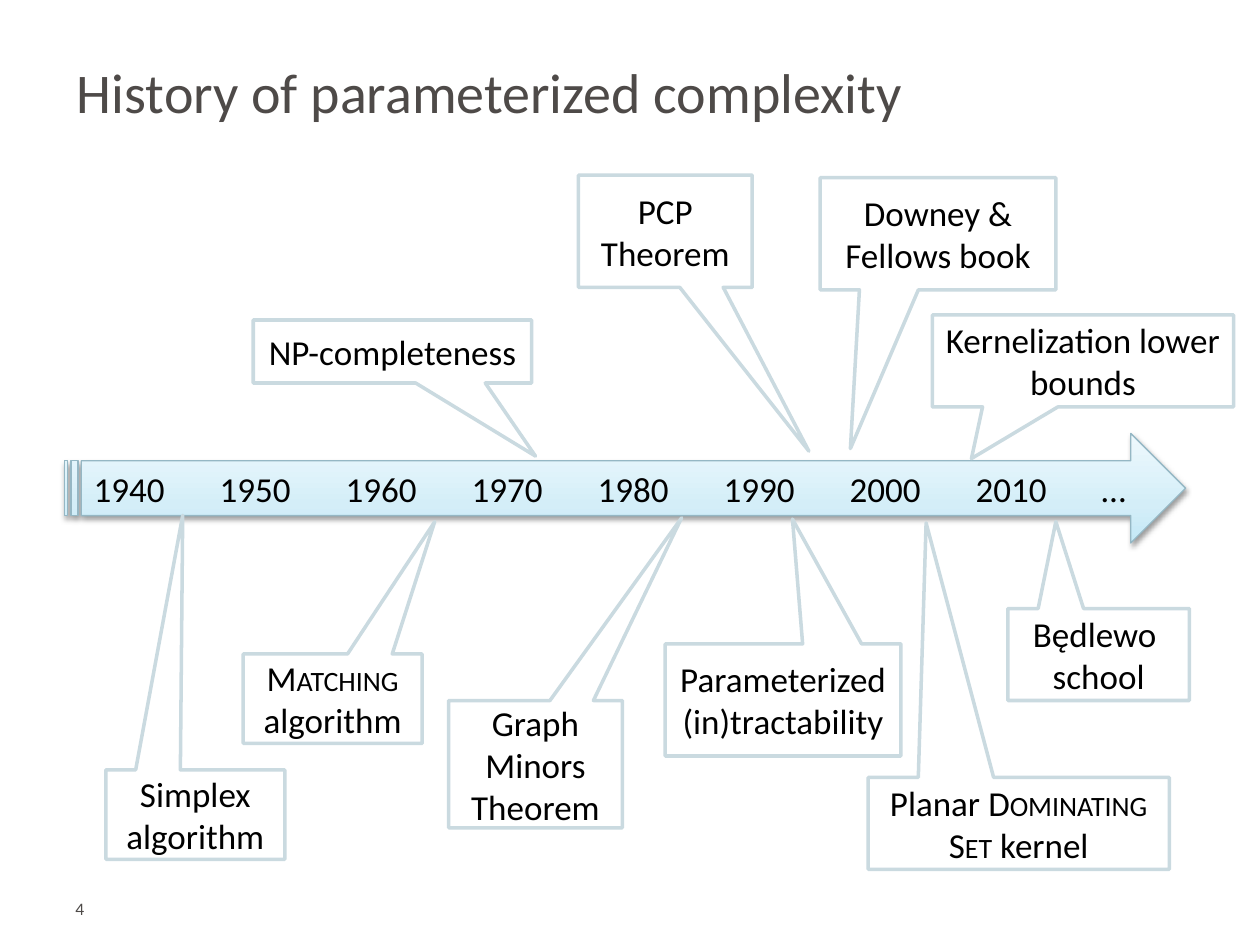
from copy import deepcopy

from lxml.etree import SubElement
from pptx import Presentation
from pptx.dml.color import RGBColor
from pptx.enum.shapes import MSO_SHAPE
from pptx.enum.text import MSO_ANCHOR, PP_ALIGN
from pptx.oxml.ns import qn
from pptx.util import Inches, Pt

FONT = "Calibri"
GREY, BLACK, WHITE = "4E4A48", "000000", "FFFFFF"
ARROW_EDGE, CALLOUT_EDGE = "95B7C4", "CADAE0"
ARROW_STOPS = [(0, "C3E8F6"), (0.35, "D4EEF8"), (1, "EEF9FD")]

COLUMNS, ROWS = 10, 7.5
DECADES = range(1940, 2020, 10)

# Box (left, top, width, height), tip of the pointer (x, y), and lines of
# (text, small caps) runs; all places are in grid columns and rows.
EVENTS = [
    ((0.84, 6.11, 1.42, 0.71), (1.45, 4.09), [[("Simplex algorithm", False)]]),
    ((1.93, 5.19, 1.42, 0.71), (3.45, 4.14),
     [[("Matching", True), (" algorithm", False)]]),
    ((2.01, 2.54, 2.21, 0.5), (4.25, 3.62), [[("NP-completeness", False)]]),
    ((3.56, 5.56, 1.38, 1.01), (5.41, 4.11), [[("Graph Minors Theorem", False)]]),
    ((4.59, 1.39, 1.38, 0.89), (6.42, 3.58), [[("PCP Theorem", False)]]),
    ((5.28, 5.11, 1.87, 0.89), (6.29, 4.12),
     [[("Parameterized", False)], [("(in)tractability", False)]]),
    ((6.51, 1.41, 1.87, 0.89), (6.75, 3.56), [[("Downey & Fellows book", False)]]),
    ((6.89, 6.17, 2.39, 0.73), (7.35, 4.15),
     [[("Planar ", False), ("Dominating Set", True), (" kernel", False)]]),
    ((7.4, 2.5, 2.39, 0.73), (7.71, 3.64), [[("Kernelization lower bounds", False)]]),
    ((8, 4.83, 1.44, 0.73), (8.38, 4.14),
     [[("Będlewo ", False)], [("school", False)]]),
]


def colour(hex_string):
    return RGBColor.from_string(hex_string)


def grid(box):
    return [Inches(length) for length in box]


def add_run(paragraph, text, size, hex_string, small_caps=False):
    run = paragraph.add_run()
    run.text = text
    run.font.name, run.font.size = FONT, Pt(size)
    run.font.color.rgb = colour(hex_string)
    if small_caps:
        run.font._element.set("cap", "small")


def outline(shape, hex_string, width):
    shape.line.color.rgb = colour(hex_string)
    shape.line.width = Pt(width)


def place_title(slide, box, text):
    title = slide.shapes.title
    title.left, title.top, title.width, title.height = grid(box)
    frame = title.text_frame
    frame.vertical_anchor = MSO_ANCHOR.MIDDLE
    frame.paragraphs[0].alignment = PP_ALIGN.LEFT
    add_run(frame.paragraphs[0], text, 32, GREY)


def fill_gradient(shape, stops, angle):
    shape.fill.gradient()
    shape.fill.gradient_angle = angle
    stop_list = shape._element.spPr.find(qn("a:gradFill")).find(qn("a:gsLst"))
    stop_list.append(deepcopy(stop_list[-1]))
    for stop, (position, hex_string) in zip(shape.fill.gradient_stops, stops):
        stop.position = position
        stop.color.rgb = colour(hex_string)


def drop_shadow(shape, blur, distance, opacity):
    """Cast a black shadow straight down."""
    shape.shadow.inherit = False
    effects = shape._element.spPr.find(qn("a:effectLst"))
    shadow = SubElement(effects, qn("a:outerShdw"), blurRad=str(Pt(blur)),
                        dist=str(Pt(distance)), dir="5400000", rotWithShape="0")
    black = SubElement(shadow, qn("a:srgbClr"), val=BLACK)
    SubElement(black, qn("a:alpha"), val=str(opacity * 1000))


def draw_timeline(slide, box):
    arrow = slide.shapes.add_shape(MSO_SHAPE.STRIPED_RIGHT_ARROW, *grid(box))
    fill_gradient(arrow, ARROW_STOPS, 90)
    outline(arrow, ARROW_EDGE, 0.75)
    drop_shadow(arrow, 3.1, 1.6, 38)
    arrow.text_frame.vertical_anchor = MSO_ANCHOR.MIDDLE
    years = arrow.text_frame.paragraphs[0]
    years.alignment = PP_ALIGN.LEFT
    add_run(years, "\t".join([*map(str, DECADES), "…"]), 20, BLACK)


def draw_event(slide, box, tip, lines):
    left, top, width, height = box
    callout = slide.shapes.add_shape(MSO_SHAPE.RECTANGULAR_CALLOUT, *grid(box))
    callout.adjustments[0] = (tip[0] - left) / width - 0.5
    callout.adjustments[1] = (tip[1] - top) / height - 0.5
    callout.shadow.inherit = False
    callout.fill.solid()
    callout.fill.fore_color.rgb = colour(WHITE)
    outline(callout, CALLOUT_EDGE, 2)
    frame = callout.text_frame
    frame.word_wrap = True
    frame.vertical_anchor = MSO_ANCHOR.MIDDLE
    for number, runs in enumerate(lines):
        paragraph = frame.add_paragraph() if number else frame.paragraphs[0]
        paragraph.alignment = PP_ALIGN.CENTER
        for text, small_caps in runs:
            add_run(paragraph, text, 20, BLACK, small_caps)


def place_page_number(slide, box, number):
    frame = slide.shapes.add_textbox(*grid(box)).text_frame
    frame.word_wrap = True
    frame.margin_top = 0
    add_run(frame.paragraphs[0], number, 10, GREY)


def main():
    deck = Presentation()
    deck.slide_width, deck.slide_height = grid((COLUMNS, ROWS))
    slide = deck.slides.add_slide(deck.slide_layouts[5])
    place_title(slide, (0.51, 0.38, 9, 0.69), "History of parameterized complexity")
    draw_timeline(slide, (0.51, 3.44, 8.9, 0.87))
    for box, tip, lines in EVENTS:
        draw_event(slide, box, tip, lines)
    place_page_number(slide, (0.5, 7.13, 2.14, 0.3), "4")
    deck.save("out.pptx")


if __name__ == "__main__":
    main()
